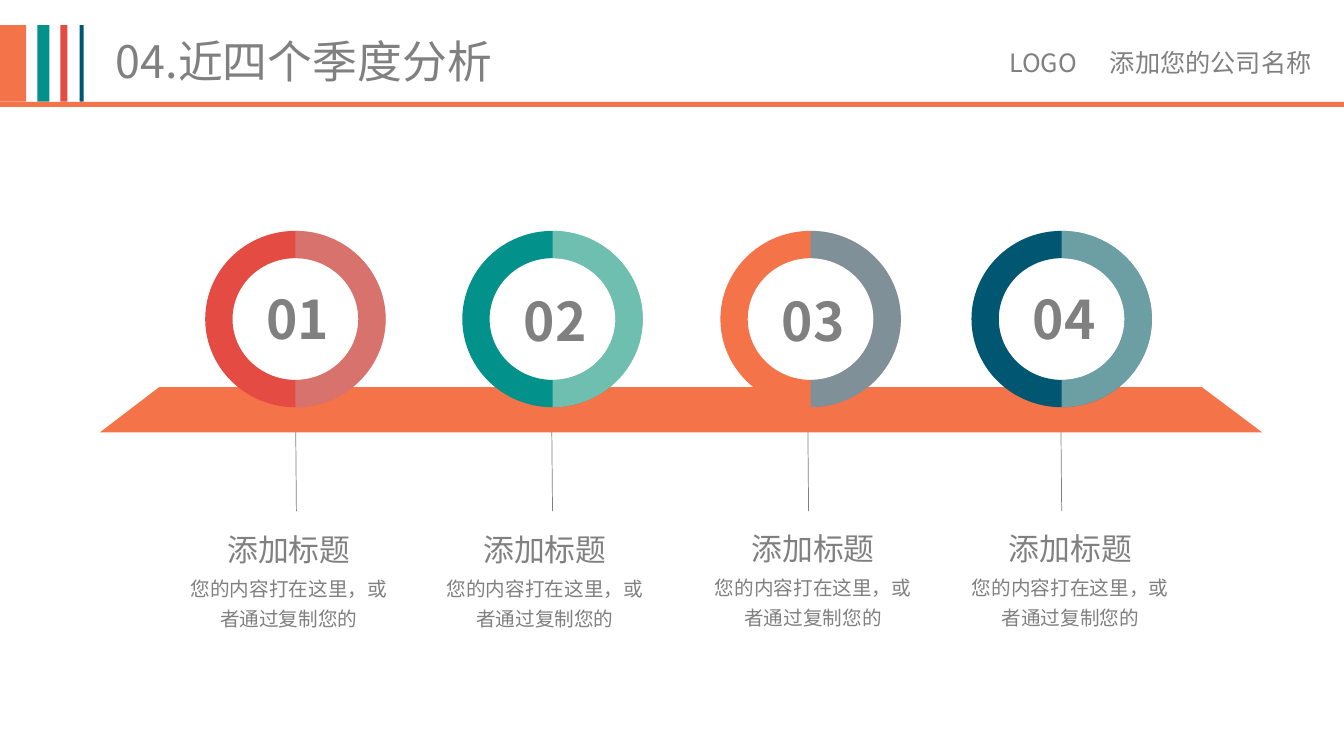
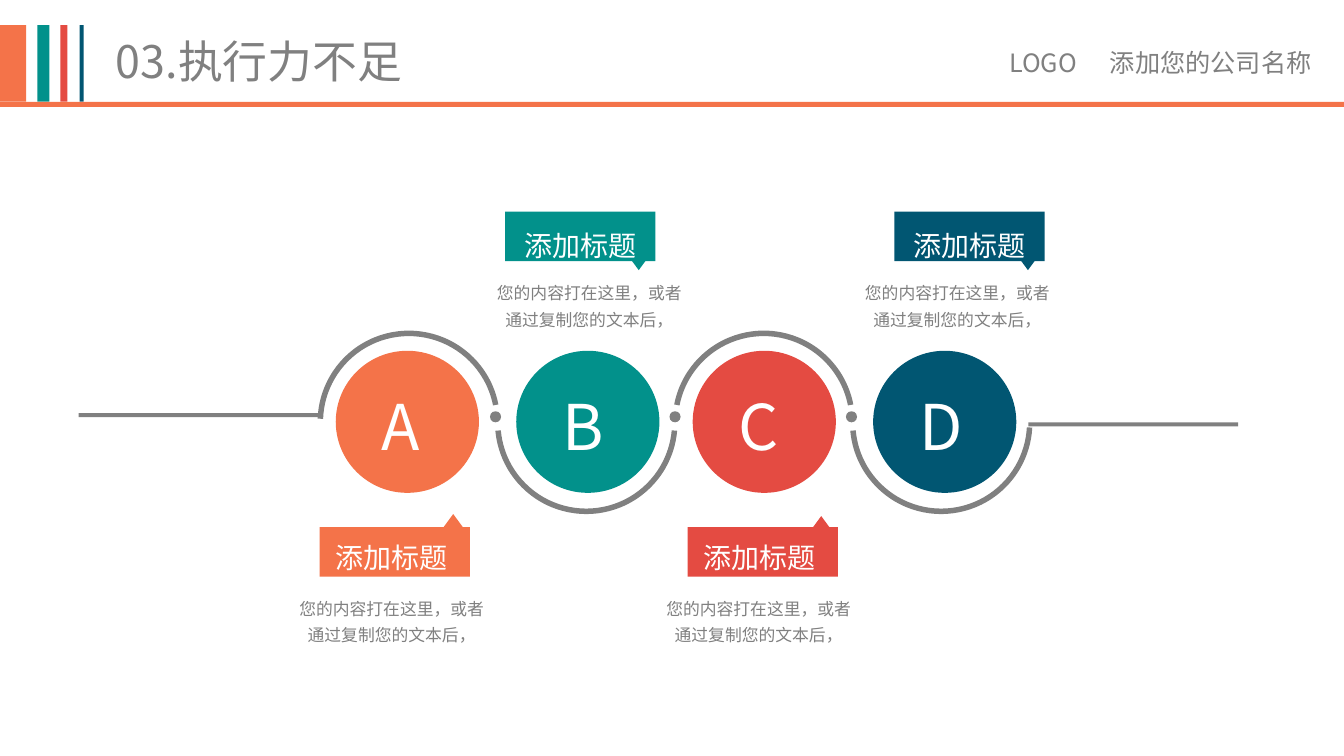
from lxml.etree import SubElement
from pptx import Presentation
from pptx.dml.color import RGBColor
from pptx.enum.shapes import MSO_CONNECTOR, MSO_SHAPE
from pptx.enum.text import PP_ALIGN
from pptx.oxml.ns import qn
from pptx.util import Inches, Pt

HUE = {
    "orange": "F47349", "teal": "02918B", "red": "E44B42", "navy": "015672",
    "gray": "808080", "white": "FFFFFF",
    "sky": "00B0F0", "mint": "E2F0D9", "silver": "BFBFBF",
}
FONT = "Noto Sans CJK SC"
MID = PP_ALIGN.CENTER


def rgb(hue):
    return RGBColor.from_string(HUE[hue])


class Deck:
    """Holds the style and the current slide."""

    def __init__(self):
        self.file = Presentation()
        self.file.slide_width = Inches(13.33)
        self.file.slide_height = Inches(7.5)
        self.slide = None

    def start(self, title):
        """Add a slide with the shared header."""
        self.slide = self.file.slides.add_slide(self.file.slide_layouts[6])
        self.text(title, 1.05, 0.29, 5.12, 0.64, size=32)
        bars = [("orange", 0, 0.26), ("teal", 0.37, 0.12),
                ("red", 0.6, 0.07), ("navy", 0.79, 0.04)]
        for hue, x, wide in bars:
            self.shape(MSO_SHAPE.RECTANGLE, hue, x, 0.25, wide, 0.76)
        self.shape(MSO_SHAPE.RECTANGLE, "orange", 0, 1.01, 13.33, 0.05)
        self.text("LOGO\t添加您的公司名称", 9.91, 0.42, 3.42, 0.4, size=18, tab=1)

    def paint(self, shape, hue, alpha=None):
        shape.shadow.inherit = False
        shape.fill.solid()
        shape.fill.fore_color.rgb = rgb(hue)
        shape.line.fill.background()
        if alpha:
            tint = next(shape.element.iter(qn("a:srgbClr")))
            SubElement(tint, qn("a:alpha"), val=str(alpha * 1000))
        return shape

    def shape(self, kind, hue, x, y, wide, high, adj=(), alpha=None):
        item = self.slide.shapes.add_shape(
            kind, Inches(x), Inches(y), Inches(wide), Inches(high))
        for i, value in enumerate(adj):
            item.adjustments[i] = value
        return self.paint(item, hue, alpha)

    def arc(self, hue, x, y, wide, high, begin, end, thick, alpha=None):
        """Draw a ring part, clockwise between two angles in degrees."""
        turn = 60000 / 100000
        self.shape(MSO_SHAPE.BLOCK_ARC, hue, x, y, wide, high,
                   (begin * turn, end * turn, thick), alpha)

    def poly(self, hue, points):
        first, *rest = [(Inches(x), Inches(y)) for x, y in points]
        form = self.slide.shapes.build_freeform(*first, scale=1.0)
        form.add_line_segments(rest, close=True)
        self.paint(form.convert_to_shape(), hue)

    def line(self, x1, y1, x2, y2):
        item = self.slide.shapes.add_connector(
            MSO_CONNECTOR.STRAIGHT, Inches(x1), Inches(y1), Inches(x2), Inches(y2))
        item.line.color.rgb = rgb("gray")
        item.line.width = Pt(0.5)
        SubElement(item.element.spPr, qn("a:effectLst"))

    def text(self, words, x, y, wide, high, size, hue="gray", bold=False,
             align=PP_ALIGN.LEFT, space=None, pad=(0.1, 0.05), tab=None):
        box = self.slide.shapes.add_textbox(
            Inches(x), Inches(y), Inches(wide), Inches(high))
        frame = box.text_frame
        para = frame.paragraphs[0]
        run = para.add_run()
        run.text = words
        side, edge = Inches(pad[0]), Inches(pad[1])
        styles = [
            (frame, {"word_wrap": True, "margin_left": side, "margin_right": side,
                     "margin_top": edge, "margin_bottom": edge}),
            (para, {"alignment": align, "line_spacing": space}),
            (run.font, {"size": Pt(size), "name": FONT, "bold": bold}),
        ]
        for part, style in styles:
            for key, value in style.items():
                setattr(part, key, value)
        run.font.color.rgb = rgb(hue)
        SubElement(run.font._element, qn("a:ea"), typeface=FONT)
        if tab:
            stops = SubElement(para._p.get_or_add_pPr(), qn("a:tabLst"))
            SubElement(stops, qn("a:tab"), pos=str(Inches(tab)), algn="l")


def quarters(deck):
    deck.start("04.近四个季度分析")
    # Ring centre, stem, label left and top, number top, hue, tint, alpha
    rings = [
        (2.93, 2.93, 1.72, 5.08, 2.78, "red", "silver", 34),
        (5.48, 5.47, 4.26, 5.08, 2.8, "teal", "mint", 49),
        (8.04, 8.01, 6.92, 5.07, 2.8, "orange", "sky", 48),
        (10.53, 10.52, 9.47, 5.07, 2.78, "navy", "mint", 48),
    ]
    # Stems and labels
    for _, stem, left, top, *_ in rings:
        deck.line(stem, 3.91, stem + 0.01, 5.07)
        deck.text("您的内容打在这里，或者通过复制您的", left, top + 0.51, 2.29, 0.73,
                  size=14, align=MID, space=1.3, pad=(0.12, 0.06))
        deck.text("添加标题", left, top, 2.29, 0.55,
                  size=22, align=MID, space=1.5, pad=(0.12, 0))
    # Platform
    deck.poly("orange", [(0.99, 4.29), (1.58, 3.84), (11.92, 3.84), (12.52, 4.29)])
    # Two-tone rings with numbers
    wide, high, thick = 1.79, 1.75, 0.155
    for n, (mid, _, _, _, top, hue, tint, alpha) in enumerate(rings, 1):
        x = mid - wide / 2
        deck.shape(MSO_SHAPE.DONUT, hue, x, 2.29, wide, high, (thick,))
        deck.arc(tint, x, 2.29, wide, high, 270, 90, thick, alpha)
        deck.text(f"{n:02}", mid - 0.5, top, 1.05, 0.76,
                  size=38, bold=True, align=MID, pad=(0.12, 0.06))


def action(deck):
    deck.start("03.执行力不足")
    # Winding track
    for x in (4.86, 6.64, 8.39):
        deck.shape(MSO_SHAPE.OVAL, "gray", x, 4.08, 0.11, 0.11)
    bends = [(3.28, 182, 349), (3.29, 5, 175), (3.28, 191, 349), (3.29, 3, 175)]
    for i, (y, begin, end) in enumerate(bends):
        deck.arc("gray", 3.15 + 1.76 * i, y, 1.81, 1.81, begin, end, 0.03)
    for x, y, wide in ((0.78, 4.1, 2.38), (10.2, 4.19, 2.08)):
        deck.shape(MSO_SHAPE.RECTANGLE, "gray", x, y, wide, 0.04)
    # Letter, hue, ball left, tag left, body left, tip top, tag above
    steps = [
        ("A", "orange", 3.33, 3.17, 2.83, 5.1, False),
        ("B", "teal", 5.12, 5.01, 4.79, 2.51, True),
        ("C", "red", 6.87, 6.82, 6.47, 5.12, False),
        ("D", "navy", 8.66, 8.87, 8.44, 2.51, True),
    ]
    for letter, hue, ball, tag, body, tip, above in steps:
        top, drop, shift = (2.1, 0, 0.09) if above else (5.23, -0.03, 0.06)
        # Tag with pointer
        point = deck.shape(MSO_SHAPE.ISOSCELES_TRIANGLE, hue, tag + 1.2, tip, 0.25, 0.17)
        point.rotation = 180 if above else 0
        deck.shape(MSO_SHAPE.RECTANGLE, hue, tag, top, 1.49, 0.49)
        deck.text("添加标题", tag + shift, top + drop, 1.38, 0.45,
                  size=20, hue="white", space=1.5, pad=(0.1, 0))
        deck.text("您的内容打在这里，或者通过复制您的文本后，", body, top + 0.6, 2.11, 0.6,
                  size=12, align=MID, space=1.3)
        # Lettered ball
        deck.shape(MSO_SHAPE.OVAL, hue, ball, 3.48, 1.42, 1.41)
        deck.text(letter, ball + 0.36, 3.8, 0.74, 0.86, size=45, hue="white")


def main():
    deck = Deck()
    quarters(deck)
    action(deck)
    deck.file.save("out.pptx")


if __name__ == "__main__":
    main()
